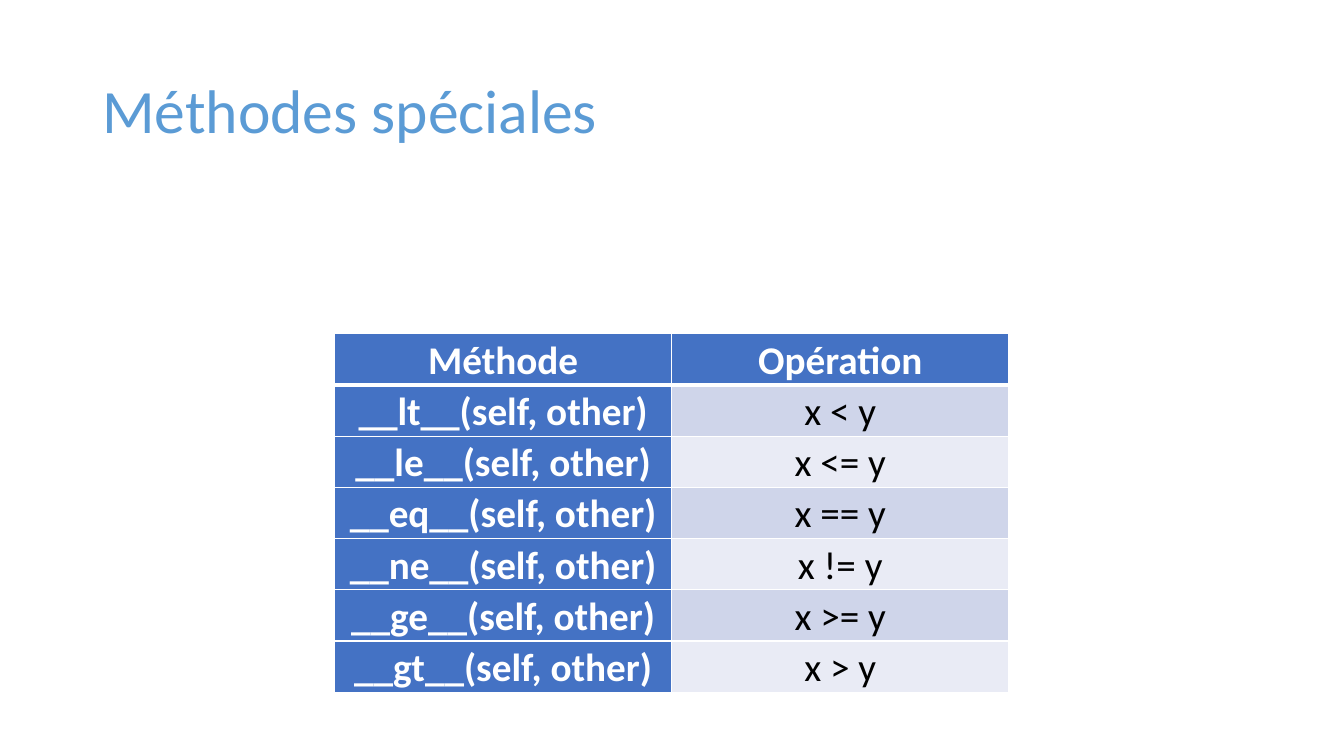
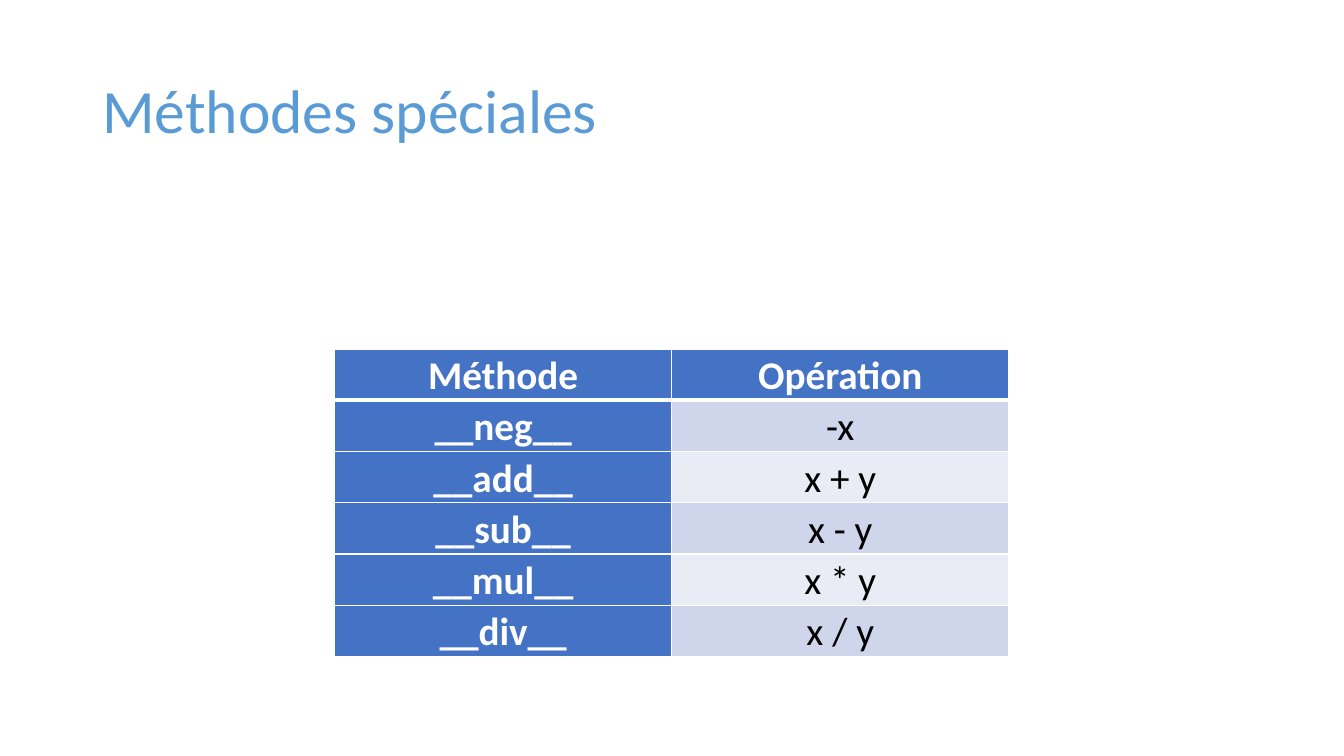
"""Build two slides listing Python special methods."""
from dataclasses import dataclass

from lxml.etree import SubElement
from pptx import Presentation
from pptx.dml.color import RGBColor
from pptx.enum.text import MSO_ANCHOR, PP_ALIGN
from pptx.oxml.ns import qn
from pptx.util import Pt


@dataclass(frozen=True)
class Theme:
    """Colours, font and type sizes shared by the slides."""

    font: str = "Calibri"
    title_size: float = 44
    table_size: float = 28
    title: str = "5B9BD5"
    accent: str = "4472C4"
    bands: tuple = ("CFD5EA", "E9EBF5")
    light: str = "FFFFFF"
    dark: str = "000000"
    thin_line: float = 1
    thick_line: float = 3


THEME = Theme()
TITLE = "Méthodes spéciales"
HEADER = ("Méthode", "Opération")
TABLE_LEFT = 239
COLUMN_WIDTH = 240.8
ROW_HEIGHT = 36.6

COMPARISONS = [
    ("__lt__(self, other)", "x < y"),
    ("__le__(self, other)", "x <= y"),
    ("__eq__(self, other)", "x == y"),
    ("__ne__(self, other)", "x != y"),
    ("__ge__(self, other)", "x >= y"),
    ("__gt__(self, other)", "x > y"),
]
ARITHMETIC = [
    ("__neg__", "-x"),
    ("__add__", "x + y"),
    ("__sub__", "x - y"),
    ("__mul__", "x * y"),
    ("__div__", "x / y"),
]


def style_paragraph(paragraph, size, color, line_spacing, bold=False):
    """Set the font and line spacing of a paragraph."""
    paragraph.line_spacing = line_spacing
    font = paragraph.font
    font.name = THEME.font
    font.size = Pt(size)
    font.bold = bold
    font.color.rgb = RGBColor.from_string(color)


def add_title(slide, text):
    """Add the title at its shared place."""
    box = slide.shapes.add_textbox(Pt(66), Pt(28.8), Pt(828), Pt(104.4))
    frame = box.text_frame
    frame.word_wrap = True
    frame.vertical_anchor = MSO_ANCHOR.MIDDLE
    frame.text = text
    style_paragraph(frame.paragraphs[0], THEME.title_size, THEME.title, 0.9)


def add_borders(cell, top, bottom):
    """Draw light borders around a cell, with the given top and bottom widths."""
    properties = cell._tc.get_or_add_tcPr()
    widths = {"a:lnL": THEME.thin_line, "a:lnR": THEME.thin_line, "a:lnT": top, "a:lnB": bottom}
    for position, (tag, width) in enumerate(widths.items()):
        line = SubElement(properties, qn(tag), w=str(Pt(width)))
        fill = SubElement(line, qn("a:solidFill"))
        SubElement(fill, qn("a:srgbClr"), val=THEME.light)
        properties.insert(position, line)


def fill_cell(cell, text, row, column):
    """Write a cell and style it by its place in the table."""
    emphasised = row == 0 or column == 0
    background = THEME.accent if emphasised else THEME.bands[(row - 1) % 2]
    cell.fill.solid()
    cell.fill.fore_color.rgb = RGBColor.from_string(background)
    cell.margin_left = cell.margin_right = Pt(5.4)
    cell.margin_top = cell.margin_bottom = 0
    cell.vertical_anchor = MSO_ANCHOR.MIDDLE
    cell.text = text
    paragraph = cell.text_frame.paragraphs[0]
    paragraph.alignment = PP_ALIGN.CENTER
    color = THEME.light if emphasised else THEME.dark
    style_paragraph(paragraph, THEME.table_size, color, 1.07, emphasised)
    add_borders(
        cell,
        top=THEME.thick_line if row == 1 else THEME.thin_line,
        bottom=THEME.thick_line if row == 0 else THEME.thin_line,
    )


def add_method_table(slide, top, methods):
    """Add a table of methods and their operations."""
    rows = [HEADER, *methods]
    table = slide.shapes.add_table(
        len(rows), len(HEADER), Pt(TABLE_LEFT), Pt(top),
        Pt(COLUMN_WIDTH * len(HEADER)), Pt(ROW_HEIGHT * len(rows)),
    ).table
    table.first_row = table.horz_banding = False
    for column in table.columns:
        column.width = Pt(COLUMN_WIDTH)
    for row, texts in enumerate(rows):
        table.rows[row].height = Pt(ROW_HEIGHT)
        for column, text in enumerate(texts):
            fill_cell(table.cell(row, column), text, row, column)


def main():
    """Build and save the presentation."""
    presentation = Presentation()
    presentation.slide_width = Pt(960)
    presentation.slide_height = Pt(540)
    blank_layout = presentation.slide_layouts[6]
    for top, methods in ((238.3, COMPARISONS), (249.3, ARITHMETIC)):
        slide = presentation.slides.add_slide(blank_layout)
        add_title(slide, TITLE)
        add_method_table(slide, top, methods)
    presentation.save("out.pptx")


main()
